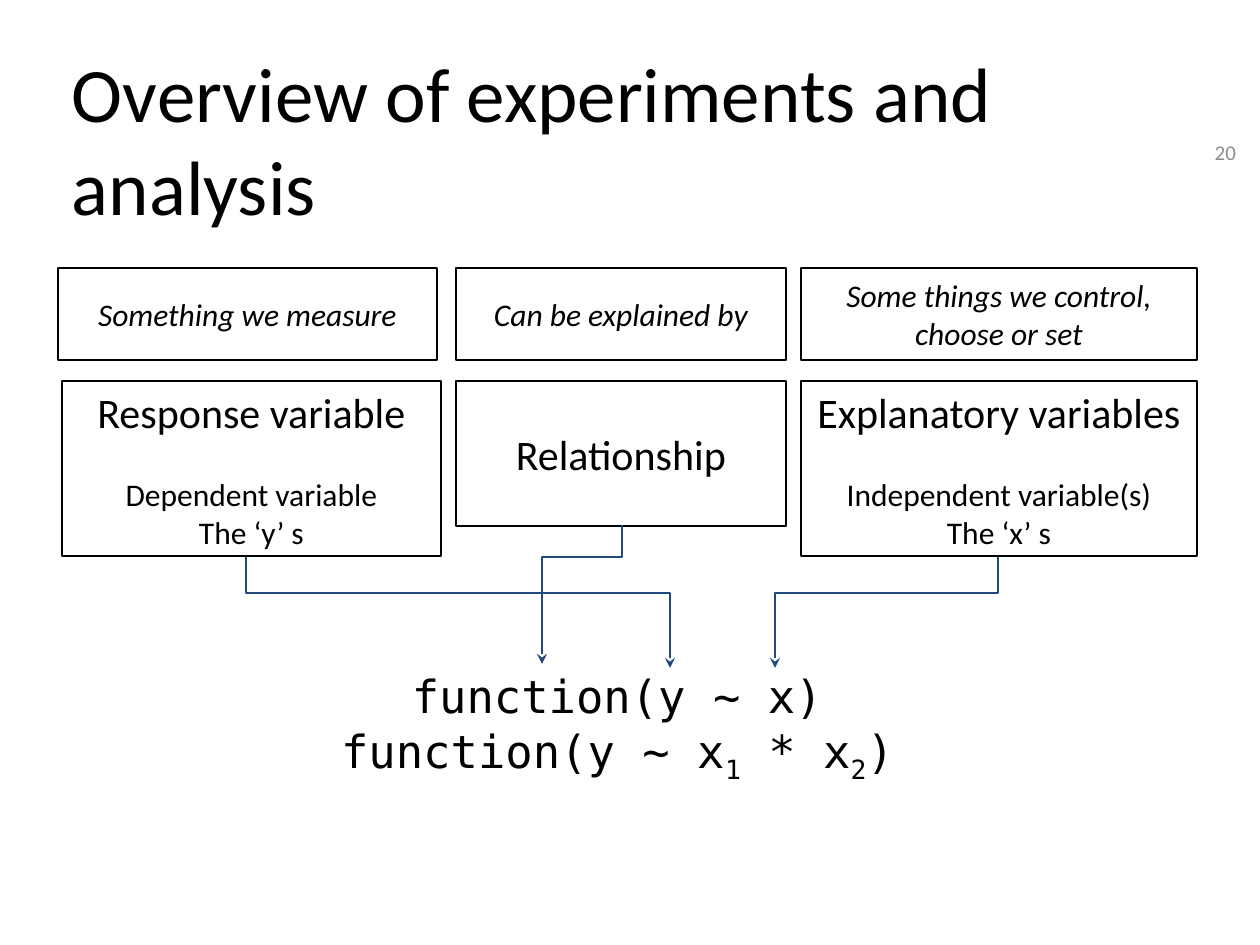
from lxml import etree
from pptx import Presentation
from pptx.dml.color import RGBColor
from pptx.enum.shapes import MSO_SHAPE as Shape
from pptx.enum.text import MSO_ANCHOR as Anchor, PP_ALIGN as Align
from pptx.oxml.ns import qn
from pptx.util import Pt

EMU_PER_PX = 914400 / 126
COLORS = {"text": "000000", "paper": "FFFFFF", "number": "8C8C8C", "arrow": "1F497D"}
SANS, MONO = "Calibri", "DejaVu Sans Mono"

COLUMNS = [(58, 379), (456, 330), (801, 396)]
TOP_ROW = ["Something we measure", "Can be explained by",
           "Some things we control, choose or set"]
DETAIL_ROW = [
    (62, 379, 175, ["Response variable", "Dependent variable", "The ‘y’ s"]),
    (456, 330, 145, ["Relationship"]),
    (801, 396, 175, ["Explanatory variables", "Independent variable(s)", "The ‘x’ s"]),
]
ARROWS = [
    (246, 557, 593, 670, 668),
    (622, 525, 557, 542, 664),
    (998, 557, 593, 775, 668),
]


def px(value):
    return round(value * EMU_PER_PX)


def rgb(name):
    return RGBColor.from_string(COLORS[name])


def set_frame(shape, anchor, vertical_inset):
    frame = shape.text_frame
    frame.word_wrap = True
    frame.vertical_anchor = anchor
    frame.margin_left = frame.margin_right = px(13)
    frame.margin_top = frame.margin_bottom = px(vertical_inset)
    return frame


def add_run(paragraph, text, size, color="text", font=SANS, italic=False):
    run = paragraph.add_run()
    run.text = text
    run.font.size = Pt(size)
    run.font.name = font
    run.font.italic = italic
    run.font.color.rgb = rgb(color)
    return run


def add_label(slide, box, text, size, color, anchor, align):
    shape = slide.shapes.add_textbox(*map(px, box))
    paragraph = set_frame(shape, anchor, 13).paragraphs[0]
    paragraph.alignment = align
    add_run(paragraph, text, size, color)


def add_box(slide, box, anchor=Anchor.MIDDLE, outlined=True):
    shape = slide.shapes.add_shape(Shape.RECTANGLE, *map(px, box))
    shape.shadow.inherit = False
    shape.fill.solid()
    shape.fill.fore_color.rgb = rgb("paper")
    if outlined:
        shape.line.color.rgb = rgb("text")
        shape.line.width = Pt(0.75)
    else:
        shape.line.fill.background()
    return set_frame(shape, anchor, 6)


def add_line(frame, index):
    paragraph = frame.add_paragraph() if index else frame.paragraphs[0]
    paragraph.alignment = Align.CENTER
    return paragraph


def add_detail(slide, box, lines):
    frame = add_box(slide, box)
    for index, text in enumerate(lines):
        paragraph = add_line(frame, index)
        if index == 1:
            paragraph.space_before = Pt(22)
        add_run(paragraph, text, 18 if index else 24)


def add_formulas(slide, box, formulas):
    frame = add_box(slide, box, Anchor.TOP, outlined=False)
    for index, parts in enumerate(formulas):
        paragraph = add_line(frame, index)
        for text in parts:
            run = add_run(paragraph, text, 26, font=MONO)
            if text.isdigit():
                run.font._element.set("baseline", "-25000")


def add_elbow_arrow(slide, start_x, start_y, bend_y, end_x, end_y):
    builder = slide.shapes.build_freeform(start_x, start_y, scale=EMU_PER_PX)
    builder.add_line_segments(
        [(start_x, bend_y), (end_x, bend_y), (end_x, end_y)], close=False)
    shape = builder.convert_to_shape()
    shape.shadow.inherit = False
    shape.fill.background()
    shape.line.color.rgb = rgb("arrow")
    shape.line.width = Pt(0.75)
    line = shape.line._get_or_add_ln()
    etree.SubElement(line, qn("a:tailEnd"), type="stealth")


def main():
    presentation = Presentation()
    presentation.slide_width, presentation.slide_height = px(1260), px(945)
    slide = presentation.slides.add_slide(presentation.slide_layouts[6])
    add_label(slide, (59, 33, 1174, 79), "Overview of experiments and analysis",
              44, "text", Anchor.TOP, Align.LEFT)
    add_label(slide, (1173, 125, 76, 54), "20", 12, "number",
              Anchor.MIDDLE, Align.RIGHT)
    for (left, width), text in zip(COLUMNS, TOP_ROW):
        frame = add_box(slide, (left, 268, width, 92))
        add_run(add_line(frame, 0), text, 18, italic=True)
    for left, width, height, lines in DETAIL_ROW:
        add_detail(slide, (left, 381, width, height), lines)
    add_formulas(slide, (319, 662, 597, 150), [
        ["function(y ~ x)"],
        ["function(y ~ x", "1", " * x", "2", ")"],
    ])
    for arrow in ARROWS:
        add_elbow_arrow(slide, *arrow)
    presentation.save("out.pptx")


if __name__ == "__main__":
    main()
